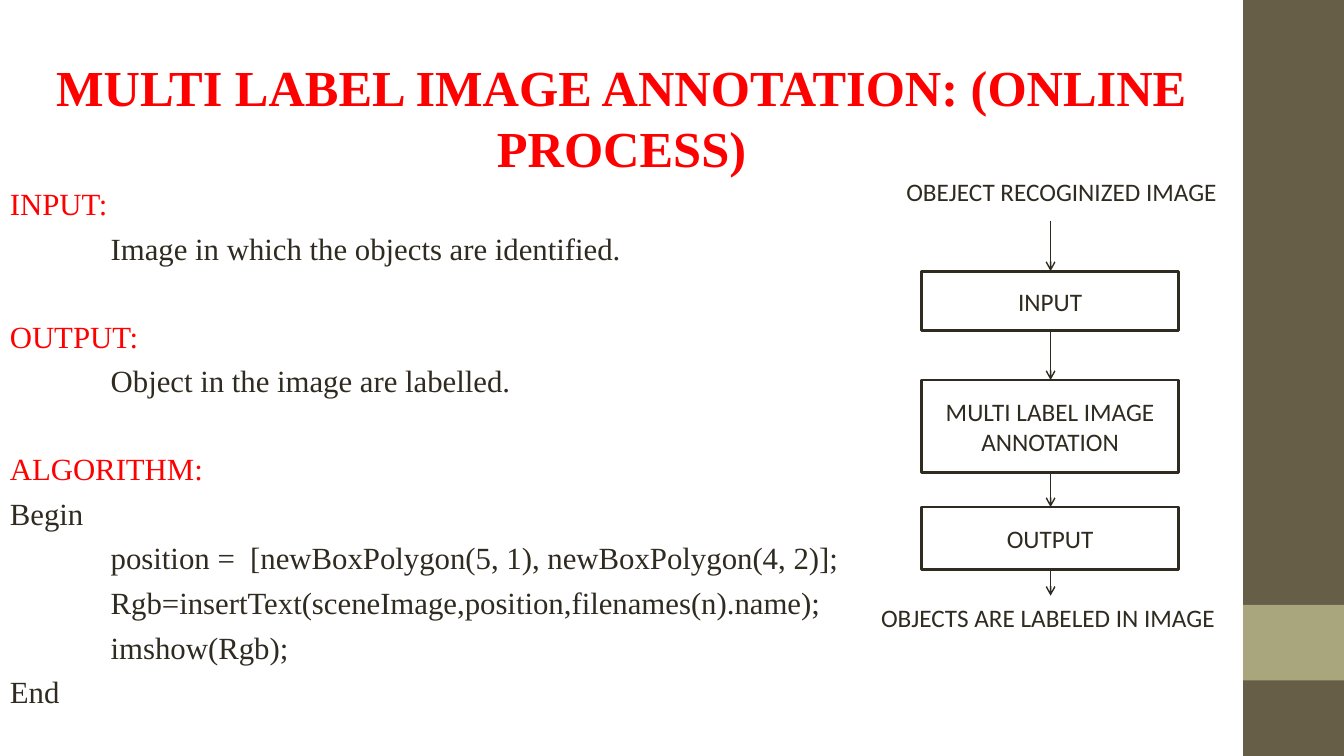
import pptx
import pptx.util
import pptx.dml.color
import pptx.enum.shapes
import pptx.enum.text
import pptx.oxml
import pptx.oxml.ns
from pptx.util import Inches, Pt

COLORS = {"olive": "675E47", "sage": "A9A57C", "red": "FF0000",
          "ink": "2F2B20", "arrow": "2E2A1F", "white": "FFFFFF"}
RECTANGLE = pptx.enum.shapes.MSO_SHAPE.RECTANGLE
CENTER = pptx.enum.text.PP_ALIGN.CENTER


def add_block(left, top, width, height, fill):
    block = slide.shapes.add_shape(
        RECTANGLE, Inches(left), Inches(top), Inches(width), Inches(height))
    block.shadow.inherit = False
    block.fill.solid()
    block.fill.fore_color.rgb = pptx.dml.color.RGBColor.from_string(COLORS[fill])
    block.line.fill.background()
    return block


def write(paragraph, text, font, size, color, bold=False):
    paragraph.text = text
    paragraph.font.name = font
    paragraph.font.size = Pt(size)
    paragraph.font.bold = bold
    paragraph.font.color.rgb = pptx.dml.color.RGBColor.from_string(COLORS[color])


presentation = pptx.Presentation()
presentation.slide_width = Inches(13.33)
presentation.slide_height = Inches(7.5)
slide = presentation.slides.add_slide(presentation.slide_layouts[6])

# Side band
add_block(12.33, 0, 1, 7.5, "olive")
add_block(12.33, 6, 1, 0.75, "sage")

# Title and description: text, colour, indent in inches, space before in points
TIGHT, SECTION = 5.5, 36.3
description = [
    ("INPUT:", "red", 0, TIGHT),
    ("Image in which the objects are identified.", "ink", 1, TIGHT),
    ("OUTPUT:", "red", 0, SECTION),
    ("Object in the image are labelled.", "ink", 1, TIGHT),
    ("ALGORITHM:", "red", 0, SECTION),
    ("Begin", "ink", 0, TIGHT),
    ("position =  [newBoxPolygon(5, 1), newBoxPolygon(4, 2)];", "ink", 1, TIGHT),
    ("Rgb=insertText(sceneImage,position,filenames(n).name);", "ink", 1, TIGHT),
    ("imshow(Rgb);", "ink", 1, TIGHT),
    ("End", "ink", 0, TIGHT),
]
body = slide.shapes.add_textbox(0, 0, Inches(12.33), Inches(7.3)).text_frame
body.word_wrap = True
body.margin_top = Inches(0.56)
title = body.paragraphs[0]
title.alignment = CENTER
write(title, "MULTI LABEL IMAGE ANNOTATION: (ONLINE PROCESS)",
      "Times New Roman", 36, "red", True)
for text, color, indent, space in description:
    line = body.add_paragraph()
    line.space_before = Pt(space)
    line._p.get_or_add_pPr().set("marL", str(Inches(indent)))
    write(line, text, "Times New Roman", 22, color)

# Flowchart steps: text, top, height
steps = [("INPUT", 2.69, 0.59),
         ("MULTI LABEL IMAGE ANNOTATION", 3.77, 0.92),
         ("OUTPUT", 5.03, 0.62)]
for text, top, height in steps:
    step = add_block(9.14, top, 2.55, height, "white")
    step.line.color.rgb = pptx.dml.color.RGBColor.from_string(COLORS["ink"])
    step.line.width = Pt(2)
    step.text_frame.word_wrap = True
    step.text_frame.vertical_anchor = pptx.enum.text.MSO_ANCHOR.MIDDLE
    label = step.text_frame.paragraphs[0]
    label.alignment = CENTER
    write(label, text, "Calibri", 18, "ink")

# Arrows into, between and out of the steps
starts = [2.19] + [top + height for _, top, height in steps]
ends = [top for _, top, _ in steps] + [5.91]
for start, end in zip(starts, ends):
    arrow = slide.shapes.add_connector(
        pptx.enum.shapes.MSO_CONNECTOR.STRAIGHT,
        Inches(10.42), Inches(start), Inches(10.42), Inches(end))
    arrow.line.color.rgb = pptx.dml.color.RGBColor.from_string(COLORS["arrow"])
    arrow.line.width = Pt(1)
    head = pptx.oxml.parse_xml(
        '<a:tailEnd %s type="arrow"/>' % pptx.oxml.ns.nsdecls("a"))
    arrow.line._get_or_add_ln().append(head)
    arrow._element.spPr.append(pptx.oxml.parse_xml(
        "<a:effectLst %s/>" % pptx.oxml.ns.nsdecls("a")))

# Captions above and below the flowchart
for text, left, top, width in [("OBEJECT RECOGINIZED IMAGE", 8.89, 1.7, 3.31),
                               ("OBJECTS ARE LABELED IN IMAGE", 8.64, 5.93, 3.54)]:
    caption = slide.shapes.add_textbox(
        Inches(left), Inches(top), Inches(width), Inches(0.4)).text_frame
    caption.word_wrap = False
    write(caption.paragraphs[0], text, "Calibri", 18, "ink")

presentation.save("out.pptx")
